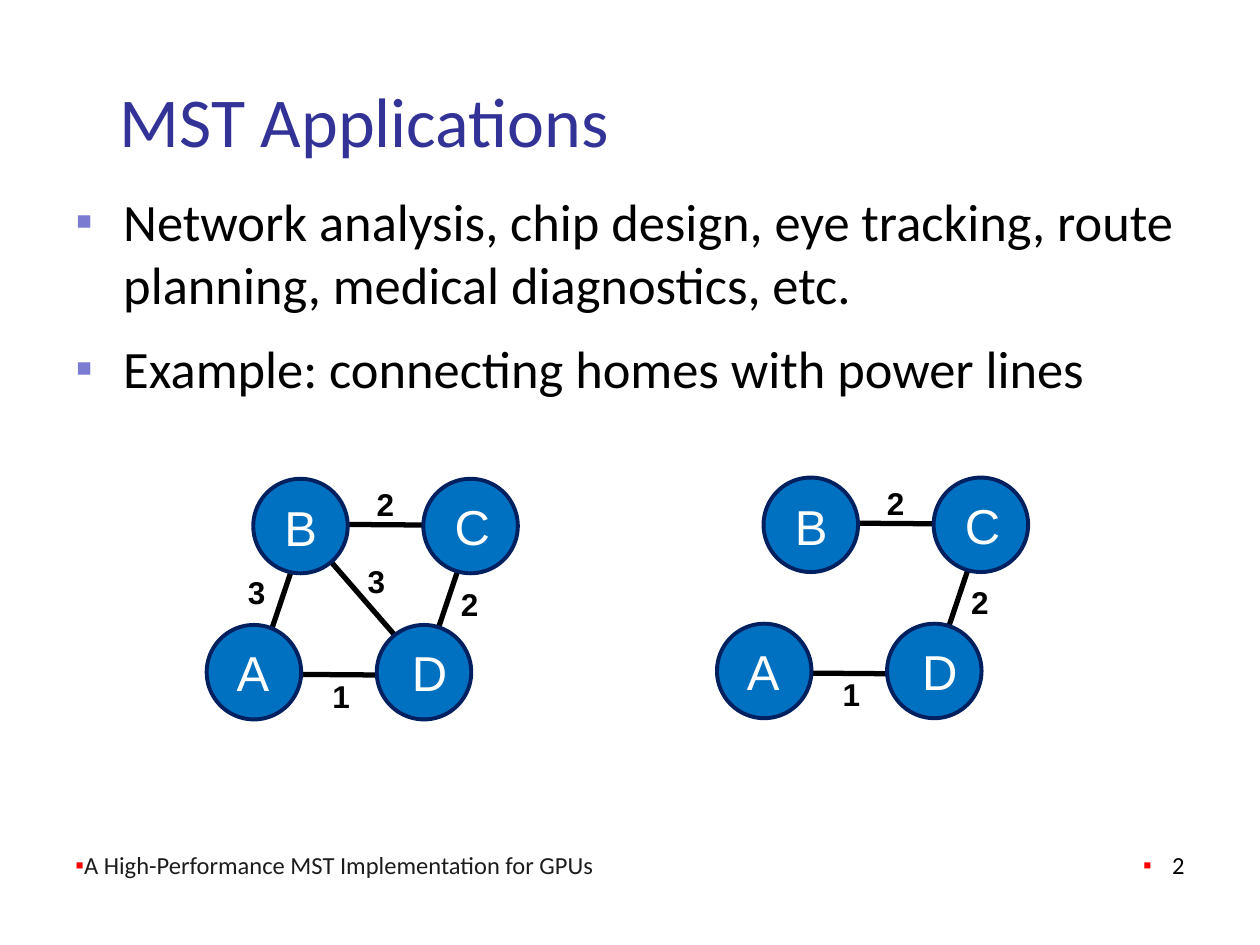
from lxml.etree import SubElement
from pptx import Presentation
from pptx.dml.color import RGBColor
from pptx.enum.shapes import MSO_CONNECTOR as Connector, MSO_SHAPE as Shape
from pptx.enum.text import MSO_ANCHOR as Anchor, PP_ALIGN as Align
from pptx.oxml.ns import qn
from pptx.util import Inches, Pt

COLORS = {"title": "333397", "bullet": "7B7BD1", "footer": "1C1C1C", "mark": "FF0000",
          "node": "0070C0", "ring": "002060", "black": "000000", "white": "FFFFFF"}

NODES = {"A": (1.64, 4.96), "C": (3.36, 3.8), "B": (2.01, 3.8), "D": (2.99, 4.96)}
NAMES = {"A": (1.78, 5.05, 0.46), "B": (2.16, 3.9, 0.46),
         "C": (3.51, 3.89, 0.49), "D": (3.17, 5.05, 0.49)}
EDGES = {  # edge: start, end, weight, weight position
    "BD": ((3.41, 5.36), (2.42, 4.22), "3", (2.82, 4.41)),
    "AB": ((2.04, 5.34), (2.43, 4.18), "3", (1.87, 4.5)),
    "CD": ((3.36, 5.34), (3.75, 4.18), "2", (3.56, 4.59)),
    "BC": ((3.74, 4.17), (2.44, 4.16), "2", (2.89, 3.8)),
    "AD": ((3.37, 5.36), (2.07, 5.35), "1", (2.54, 5.32)),
}


class Painter:
    """Holds the style and the current slide."""

    def __init__(self, page):
        self.page = page

    def color(self, name):
        return RGBColor.from_string(COLORS[name])

    def text(self, lines, left, top, width, height, size, color, font="Calibri", bold=False,
             wrap=True, anchor=Anchor.TOP, align=Align.LEFT, inset=0.1):
        box = self.page.shapes.add_textbox(*map(Inches, (left, top, width, height)))
        frame = box.text_frame
        frame.word_wrap = wrap
        frame.vertical_anchor = anchor
        frame.margin_left = Inches(inset)
        frame.text = "\n".join(lines)
        for para in frame.paragraphs:
            para.alignment = align
            for span in para.runs:
                span.font.name = font
                span.font.size = Pt(size)
                span.font.bold = bold
                span.font.color.rgb = self.color(color)
        return frame

    def bullets(self, frame, color, indent=0, before=0, percent=100):
        for para in frame.paragraphs:
            para.space_before = Pt(before)
            props = para._p.get_or_add_pPr()
            props.set("marL", str(Inches(indent)))
            props.set("indent", str(-Inches(indent)))
            tint = SubElement(props, qn("a:buClr"))
            SubElement(tint, qn("a:srgbClr"), val=COLORS[color])
            SubElement(props, qn("a:buSzPct"), val=str(percent * 1000))
            SubElement(props, qn("a:buFont"), typeface="Arial")
            SubElement(props, qn("a:buChar"), char="▪")

    def edge(self, start, end):
        line = self.page.shapes.add_connector(Connector.STRAIGHT, *map(Inches, start + end))
        line.line.color.rgb = self.color("black")
        line.line.width = Pt(3)
        SubElement(line._element.spPr, qn("a:effectLst"))

    def node(self, left, top):
        circle = self.page.shapes.add_shape(
            Shape.OVAL, Inches(left), Inches(top), Inches(0.75), Inches(0.75))
        circle.shadow.inherit = False
        circle.fill.solid()
        circle.fill.fore_color.rgb = self.color("node")
        circle.line.color.rgb = self.color("ring")
        circle.line.width = Pt(2.25)

    def graph(self, edges, right=0, down=0):
        def move(point):
            return point[0] + right, point[1] + down

        for edge in edges:
            start, end, _, _ = EDGES[edge]
            self.edge(move(start), move(end))
        for corner in NODES.values():
            self.node(*move(corner))
        for name, (left, top, width) in NAMES.items():
            self.text([name], *move((left, top)), width, 0.57, 28, "white", "Arial",
                      wrap=False, anchor=Anchor.MIDDLE)
        for edge in edges:
            _, _, weight, place = EDGES[edge]
            self.text([weight], *move(place), 0.34, 0.4, 18, "black", "Arial", bold=True,
                      wrap=False, anchor=Anchor.MIDDLE)


def main():
    deck = Presentation()
    deck.slide_width, deck.slide_height = Inches(10), Inches(7.5)
    painter = Painter(deck.slides.add_slide(deck.slide_layouts[6]))

    painter.text(["MST Applications"], 0.5, 0.6, 9, 0.7, 40, "title",
                 anchor=Anchor.MIDDLE, inset=0.45)
    body = painter.text(
        ["Network analysis, chip design, eye tracking, route planning, medical diagnostics, etc.",
         "Example: connecting homes with power lines"], 0.5, 1.45, 9, 4.9, 30, "black")
    painter.bullets(body, "bullet", indent=0.38, before=12, percent=95)

    painter.graph(["BD", "AB", "CD", "BC", "AD"])
    painter.graph(["CD", "BC", "AD"], right=4.05, down=-0.01)

    footer = painter.text(["A High-Performance MST Implementation for GPUs"],
                          0.5, 6.53, 6.92, 0.5, 14, "footer", anchor=Anchor.BOTTOM)
    painter.bullets(footer, "mark")
    number = painter.text(["2"], 7.42, 6.53, 2.08, 0.5, 14, "black",
                          anchor=Anchor.BOTTOM, align=Align.RIGHT)
    painter.bullets(number, "mark", indent=0.23)
    deck.save("out.pptx")


if __name__ == "__main__":
    main()
